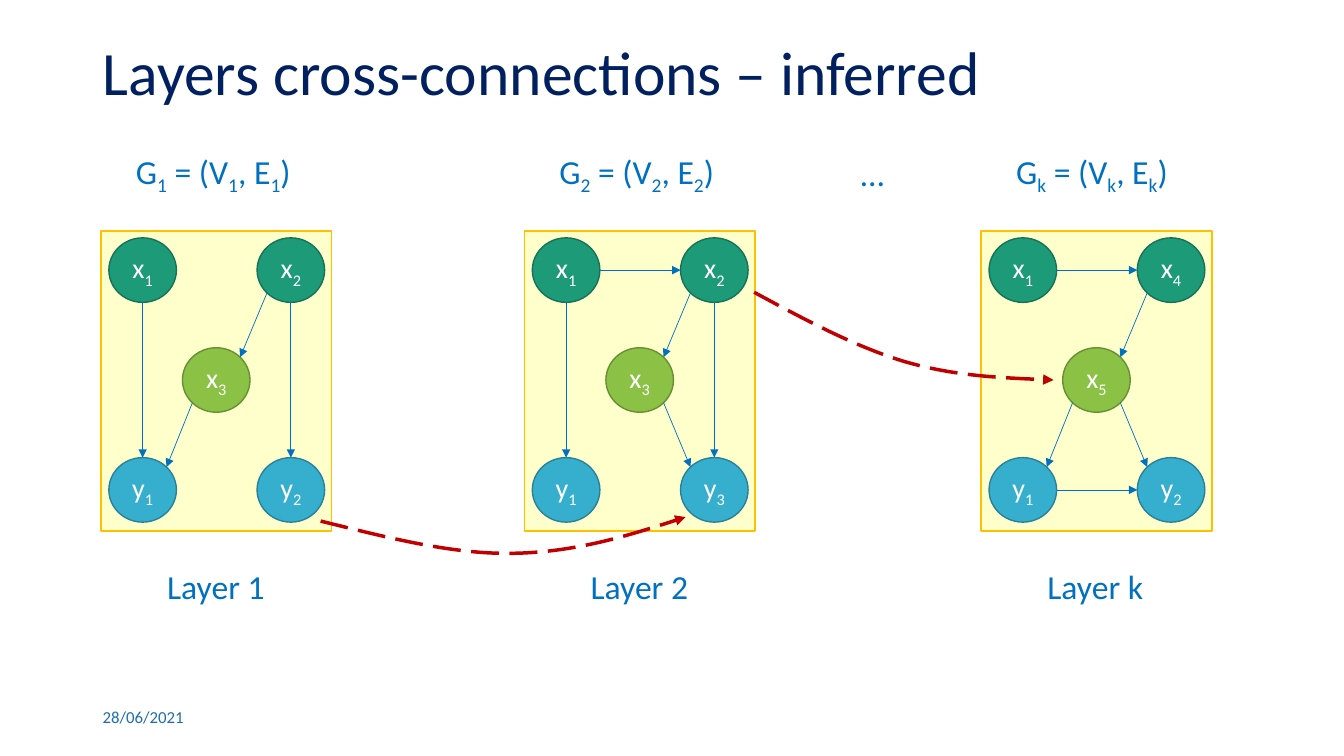
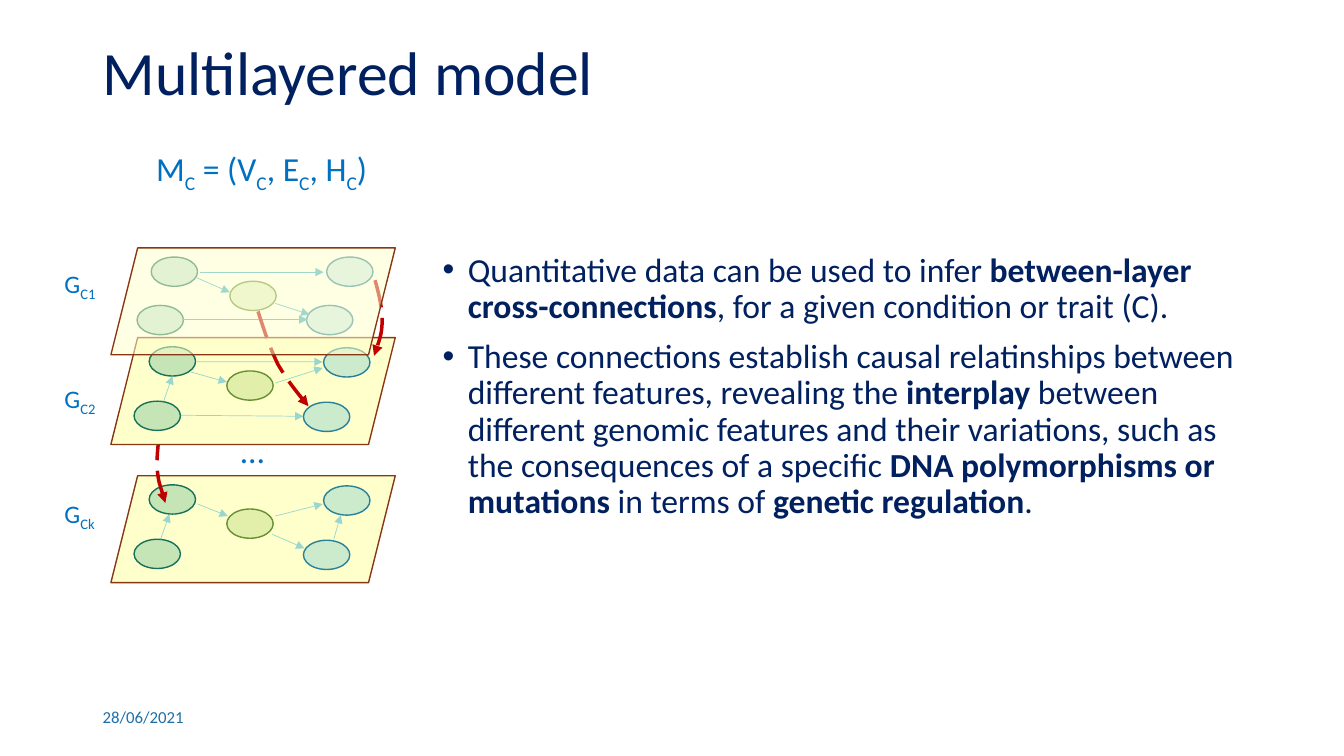
"""Build two slides on layered graphs and their cross-connections."""
from math import sqrt

from lxml.etree import SubElement
from pptx import Presentation
from pptx.dml.color import RGBColor
from pptx.enum.dml import MSO_LINE
from pptx.enum.shapes import MSO_CONNECTOR, MSO_SHAPE
from pptx.enum.text import MSO_ANCHOR, MSO_AUTO_SIZE, PP_ALIGN
from pptx.oxml.ns import qn
from pptx.util import Inches, Pt

NAVY, BLUE, DATE_BLUE, WHITE = "002060", "0070C0", "1D6FA9", "FFFFFF"
CREAM, GOLD, BROWN, RED, SKY = "FFFFCC", "FFC000", "893713", "C00000", "36AFCE"
GREEN_NODE, LIME_NODE, SKY_NODE = ("1D9A78", "157259"), ("8BC145", "678F33"), (SKY, "288198")


def write(para, text, size, colour, strong=False):
    """Write text whose parts between bars are bold if strong, else subscript."""
    for index, piece in enumerate(text.split("|")):
        marked = index % 2 == 1
        span = para.add_run()
        span.text = piece
        formats = {"name": "Calibri", "size": Pt(size), "bold": strong and marked}
        for name, value in formats.items():
            setattr(span.font, name, value)
        span.font.color.rgb = RGBColor.from_string(colour)
        if marked and not strong:
            span._r.get_or_add_rPr().set("baseline", "-25000")


def draw(page, kind, numbers, line, width, fill=None, opacity=100):
    """Draw an arrow, a dashed curve of two Bezier pieces, or a preset shape."""
    lengths = [Inches(number) for number in numbers]
    if kind == "arrow":
        shape = page.shapes.add_connector(MSO_CONNECTOR.STRAIGHT, *lengths)
    elif kind == "curve":
        points = list(zip(lengths[::2], lengths[1::2]))
        builder = page.shapes.build_freeform(*points[0])
        builder.add_line_segments(points[1:], close=False)
        shape = builder.convert_to_shape()
        shape.fill.background()
        shape.line.dash_style = MSO_LINE.LONG_DASH
        outline = shape._element.spPr.find(".//" + qn("a:path"))
        segments = outline.findall(qn("a:lnTo"))
        for first in (0, 3):
            bezier = SubElement(outline, qn("a:cubicBezTo"))
            for segment in segments[first:first + 3]:
                bezier.append(segment[0])
                outline.remove(segment)
    else:
        shape = page.shapes.add_shape(kind, *lengths)
        shape.fill.solid()
        shape.fill.fore_color.rgb = RGBColor.from_string(fill)
    shape.line.color.rgb = RGBColor.from_string(line)
    shape.line.width = Pt(width)
    properties = shape._element.spPr
    stroke = properties.find(qn("a:ln"))
    if kind in ("arrow", "curve"):
        SubElement(stroke, qn("a:tailEnd"), type="triangle")
    if opacity < 100:
        painted = properties if fill else stroke
        colour = painted.find(qn("a:solidFill"))[0]
        SubElement(colour, qn("a:alpha"), val=str(opacity * 1000))
    SubElement(properties, qn("a:effectLst"))
    return shape


deck = Presentation()
deck.slide_width, deck.slide_height = Inches(13.33), Inches(7.5)

pages, labels = [], []
for heading, layout in (("Layers cross-connections – inferred", 5), ("Multilayered model", 1)):
    page = deck.slides.add_slide(deck.slide_layouts[layout])
    title = page.shapes.title
    title.left, title.top, title.width, title.height = map(Inches, (0.92, 0.36, 11.5, 0.77))
    title.text_frame.auto_size = MSO_AUTO_SIZE.NONE
    title.text_frame.vertical_anchor = MSO_ANCHOR.MIDDLE
    para = title.text_frame.paragraphs[0]
    para.alignment, para.line_spacing = PP_ALIGN.LEFT, 0.9
    write(para, heading, 44, NAVY)
    labels.append((page, "28/06/2021", 12, DATE_BLUE, 0.92, 6.95, 3, 0.33))
    pages.append(page)
layers_page, model_page = pages

node_width, node_height = 0.67, 0.64
node_places = [(0.08, 0.07), (1.55, 0.07), (0.81, 1.16), (0.08, 2.25), (1.55, 2.25)]
node_colours = [GREEN_NODE, GREEN_NODE, LIME_NODE, SKY_NODE, SKY_NODE]
panel_top = 2.29
layers = [
    ("1", 1, ["x|1", "x|2", "x|3", "y|1", "y|2"], [(0, 3), (1, 2), (1, 4), (2, 3)]),
    ("2", 5.2, ["x|1", "x|2", "x|3", "y|1", "y|3"], [(0, 3), (1, 2), (1, 4), (2, 4), (0, 1)]),
    ("k", 9.73, ["x|1", "x|4", "x|5", "y|1", "y|2"], [(2, 3), (1, 2), (3, 4), (0, 1), (2, 4)]),
]
for name, left, node_names, edges in layers:
    draw(layers_page, MSO_SHAPE.RECTANGLE, (left, panel_top, 2.29, 2.98), GOLD, 1, CREAM)
    centres = []
    for node_name, (x, y), (fill, line) in zip(node_names, node_places, node_colours):
        spot = (left + x, panel_top + y, node_width, node_height)
        node = draw(layers_page, MSO_SHAPE.OVAL, spot, line, 1, fill)
        frame = node.text_frame
        frame.vertical_anchor = MSO_ANCHOR.MIDDLE
        for side in ("left", "right", "top", "bottom"):
            setattr(frame, f"margin_{side}", 0)
        frame.paragraphs[0].alignment = PP_ALIGN.CENTER
        write(frame.paragraphs[0], node_name, 20, WHITE)
        centres.append((spot[0] + node_width / 2, spot[1] + node_height / 2))
    for start, end in edges:
        (x1, y1), (x2, y2) = centres[start], centres[end]
        across, down = (x2 > x1) - (x2 < x1), (y2 > y1) - (y2 < y1)
        reach = sqrt(0.5) if across and down else 1
        dx, dy = across * reach * node_width / 2, down * reach * node_height / 2
        draw(layers_page, "arrow", (x1 + dx, y1 + dy, x2 - dx, y2 - dy), BLUE, 0.5)
    formula = f"G|{name}| = (V|{name}|, E|{name}|)"
    labels.append((layers_page, formula, 24, BLUE, left + 0.25, 1.47, 1.85, 0.5))
    labels.append((layers_page, f"Layer {name}", 24, BLUE, left + 0.56, 5.56, 1.3, 0.5))
labels.append((layers_page, "…", 24, BLUE, 8.44, 1.47, 0.5, 0.5))

for curve in (
    (3.18, 5.17, 3.83, 5.33, 4.48, 5.5, 5.08, 5.49, 5.69, 5.48, 6.25, 5.31, 6.8, 5.13),
    (7.48, 2.9, 7.98, 3.17, 8.48, 3.44, 8.98, 3.59, 9.47, 3.73, 9.96, 3.75, 10.45, 3.77),
):
    draw(layers_page, "curve", curve, RED, 2.5)

top_plane, middle_plane, bottom_plane = 2.46, 3.35, 4.72
plane_colours = [GREEN_NODE, GREEN_NODE, LIME_NODE, SKY_NODE, SKY_NODE]
lower_places = [(1.48, 0.09), (1.33, 0.63), (2.25, 0.33), (3.21, 0.1), (3.01, 0.64)]
top_places = [(1.5, 0.09), (1.36, 0.57), (2.28, 0.33), (3.24, 0.09), (3.04, 0.57)]
bottom_edges = [
    (1.59, 5.36, 1.68, 5.1), (1.96, 5, 2.26, 5.12), (2.73, 5.12, 3.2, 5),
    (2.7, 5.3, 3.02, 5.44), (3.31, 5.35, 3.38, 5.11),
]
middle_edges = [
    (1.95, 3.59, 3.2, 3.59), (1.79, 4.12, 3.01, 4.13), (1.62, 3.99, 1.71, 3.73),
    (1.89, 3.69, 2.25, 3.79), (2.73, 3.8, 3.2, 3.65),
]
top_edges = [
    (1.94, 2.75, 2.28, 2.9), (2.73, 3.01, 3.07, 3.12),
    (1.98, 2.7, 3.21, 2.7), (1.81, 3.17, 3.05, 3.17),
]
bottom_curves = [(1.58, 4.29, 1.57, 4.42, 1.55, 4.55, 1.56, 4.66, 1.57, 4.78, 1.61, 4.88, 1.64, 4.99)]
top_curves = [
    (3.72, 2.78, 3.76, 2.92, 3.79, 3.05, 3.79, 3.18, 3.79, 3.3, 3.75, 3.42, 3.71, 3.53),
    (2.56, 3.09, 2.62, 3.28, 2.68, 3.46, 2.76, 3.62, 2.85, 3.77, 2.95, 3.9, 3.06, 4.03),
]
bottom_graph = (bottom_plane, lower_places, bottom_edges, 50, bottom_curves)
middle_graph = (middle_plane, lower_places, middle_edges, 50, [])
top_graph = (top_plane, top_places, top_edges, 100, top_curves)

for plane, plane_opacity, graphs in (
    (bottom_plane, 100, [bottom_graph]),
    (middle_plane, 100, [middle_graph, top_graph]),
    (top_plane, 53, []),
):
    spot = (1.1, plane, 2.82, 1.06)
    draw(model_page, MSO_SHAPE.PARALLELOGRAM, spot, BROWN, 1, CREAM, plane_opacity)
    for graph_top, places, edges, edge_opacity, curves in graphs:
        for (x, y), (fill, line) in zip(places, plane_colours):
            draw(model_page, MSO_SHAPE.OVAL, (x, graph_top + y, 0.46, 0.29), line, 1, fill, 25)
        for edge in edges:
            draw(model_page, "arrow", edge, SKY, 0.5, opacity=edge_opacity)
        for curve in curves:
            draw(model_page, "curve", curve, RED, 2.5)

labels.append((model_page, "M|C| = (V|C|, E|C|, H|C|)", 24, BLUE, 1.45, 1.45, 2.4, 0.5))
labels.append((model_page, "…", 24, BLUE, 2.29, 4.22, 0.5, 0.5))
for index, name in enumerate(("C1", "C2", "Ck")):
    labels.append((model_page, f"G|{name}", 18, BLUE, 0.54, 2.63 + index * 1.14, 0.6, 0.4))

for page, text, size, colour, *spot in labels:
    box = page.shapes.add_textbox(*map(Inches, spot))
    box.text_frame.word_wrap = True
    box.text_frame.vertical_anchor = MSO_ANCHOR.MIDDLE
    write(box.text_frame.paragraphs[0], text, size, colour)

body = model_page.placeholders[1]
body.left, body.top, body.width, body.height = map(Inches, (4.29, 2.46, 8.1, 2.89))
body.text_frame.auto_size = MSO_AUTO_SIZE.NONE
bullets = [
    "Quantitative data can be used to infer |between-layer cross-connections|, "
    "for a given condition or trait (C).",
    "These connections establish causal relatinships between different features, "
    "revealing the |interplay |between different genomic features and their variations, "
    "such as the consequences of a specific |DNA polymorphisms or mutations| "
    "in terms of |genetic regulation|.",
]
for index, text in enumerate(bullets):
    para = body.text_frame.add_paragraph() if index else body.text_frame.paragraphs[0]
    para.line_spacing, para.space_before = 0.9, Pt(10)
    indents = para._p.get_or_add_pPr()
    indents.set("marL", str(Inches(0.25)))
    indents.set("indent", str(Inches(-0.25)))
    write(para, text, 24, NAVY, strong=True)

deck.save("out.pptx")
